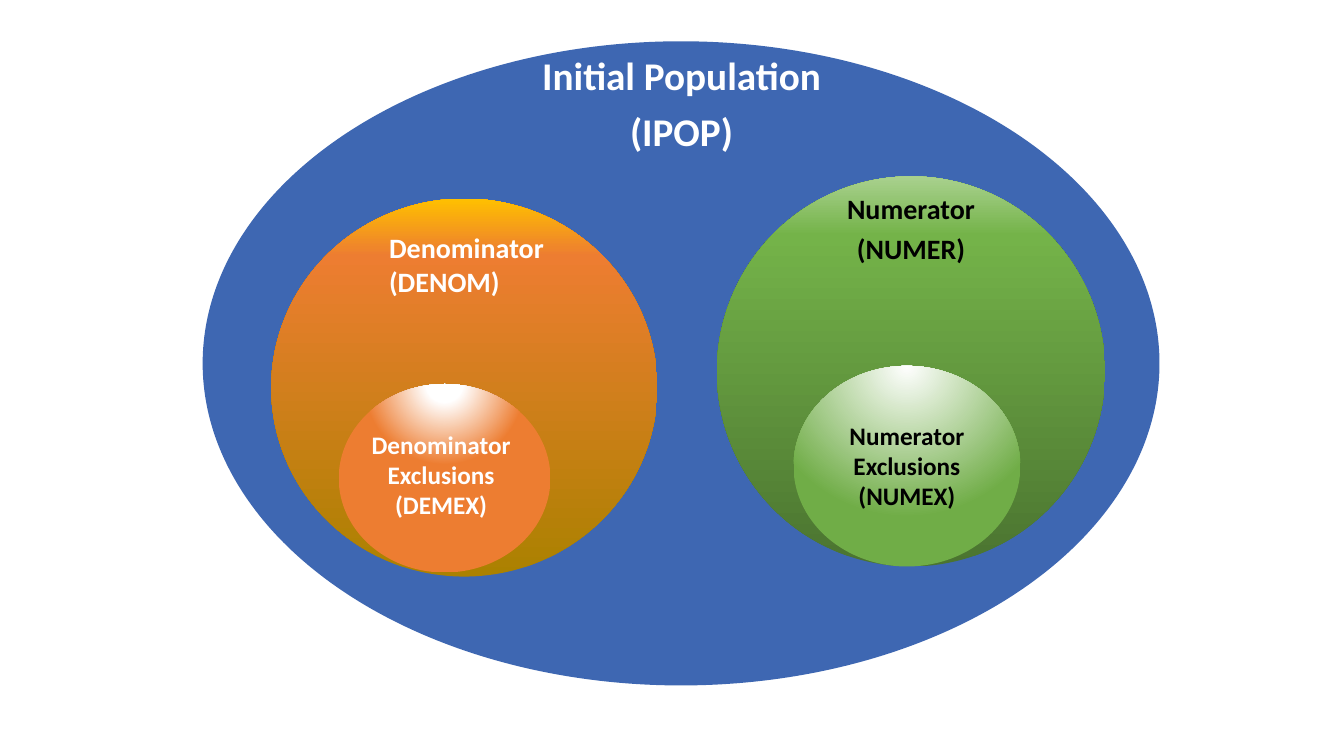
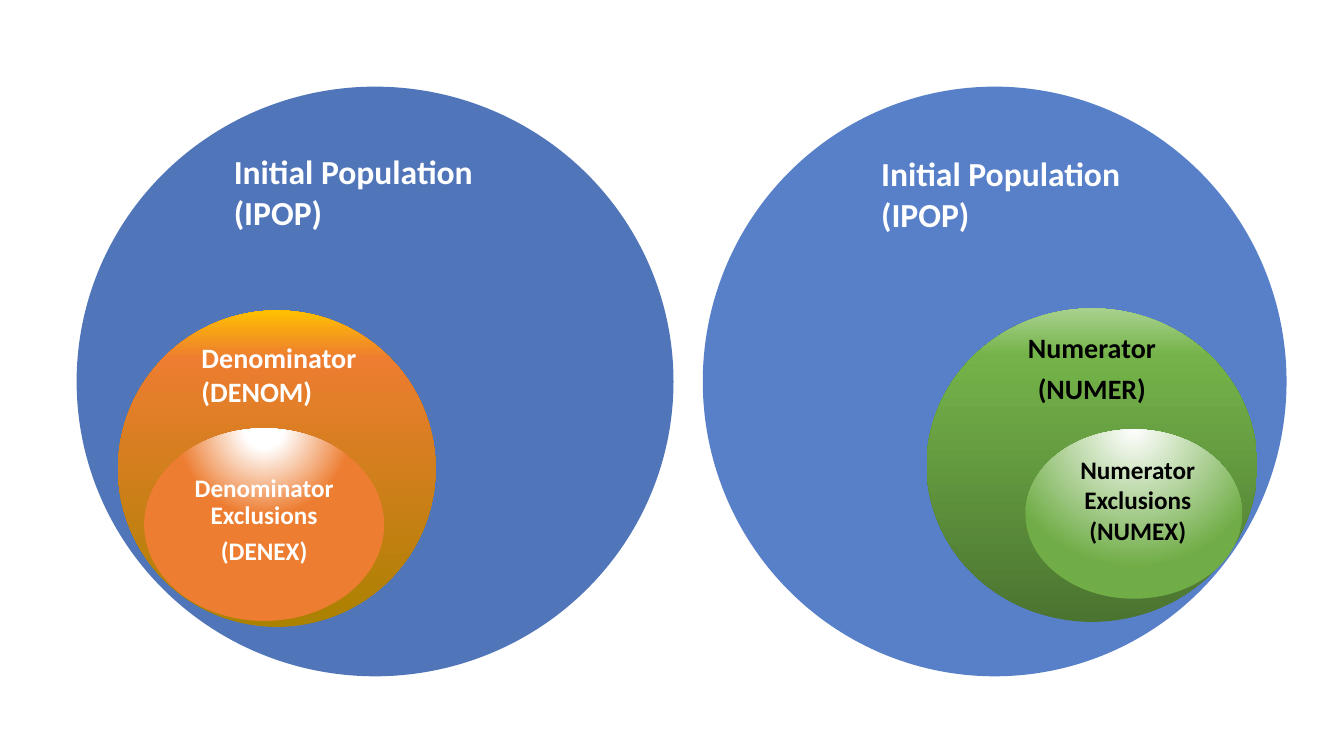
from lxml import etree
from pptx import Presentation
from pptx.dml.color import RGBColor
from pptx.enum.shapes import MSO_SHAPE
from pptx.enum.text import MSO_ANCHOR, PP_ALIGN
from pptx.oxml.ns import qn
from pptx.util import Inches, Pt

OVAL = MSO_SHAPE.OVAL
TOP, MIDDLE = MSO_ANCHOR.TOP, MSO_ANCHOR.MIDDLE
LEFT, CENTER = PP_ALIGN.LEFT, PP_ALIGN.CENTER

# Colours
FONT = "Calibri"
WHITE = RGBColor(0xFF, 0xFF, 0xFF)
BLACK = RGBColor(0x00, 0x00, 0x00)
BLUE = RGBColor(0x3E, 0x67, 0xB2)
LIGHT_BLUE = RGBColor(0x46, 0x73, 0xC4)
ORANGE = RGBColor(0xED, 0x7D, 0x31)
AMBER = RGBColor(0xEF, 0x86, 0x2A)
GOLD = RGBColor(0xFF, 0xC0, 0x00)
DARK_GOLD = RGBColor(0xAB, 0x81, 0x00)
GREEN = RGBColor(0x70, 0xAD, 0x47)
BRIGHT_GREEN = RGBColor(0x74, 0xB3, 0x49)
PALE_GREEN = RGBColor(0xA9, 0xD1, 0x8E)
DARK_GREEN = RGBColor(0x4B, 0x74, 0x30)

# Fills: a gradient lists (percent, colour) stops
IPOP = {"stops": [(0, BLUE)]}
IPOP_LEFT = {"stops": [(0, BLUE)], "alpha": 90}
IPOP_RIGHT = {"stops": [(0, LIGHT_BLUE)], "alpha": 90}
DENOM = {"stops": [(0, DARK_GOLD), (85, ORANGE), (87, AMBER), (100, GOLD)]}
NUMER = {"stops": [(0, DARK_GREEN), (85, BRIGHT_GREEN), (100, PALE_GREEN)]}
DENEX = {"stops": [(0, WHITE), (13, WHITE), (57, ORANGE)], "radial": True}
NUMEX = {"stops": [(0, WHITE), (100, GREEN)], "radial": True}

# Label styles: a spaced label has tighter lines and a gap after each paragraph
HEADING = {"size": 28, "align": CENTER, "spaced": True, "inset": 0.22}
POPULATION = {"size": 24}
DENOM_LABEL = {"size": 20}
NUMER_LABEL = {"size": 20, "color": BLACK, "align": CENTER, "spaced": True}
DENEX_LABEL = {"size": 18, "align": CENTER}
NUMEX_LABEL = {"size": 18, "color": BLACK, "align": CENTER}

IPOP_TEXT = ["Initial Population", "(IPOP)"]
DENOM_TEXT = ["Denominator", "(DENOM)"]
NUMER_TEXT = ["Numerator", "(NUMER)"]

# Each slide: ovals from back to front, then labels; boxes in inches
SLIDES = [
    {
        "ovals": [
            ((2.01, 0.41, 9.49, 6.39), IPOP),
            ((2.69, 1.97, 3.83, 3.75), DENOM),
            ((7.11, 1.75, 3.85, 3.87), NUMER),
            ((7.87, 3.63, 2.25, 1.99), NUMEX),
            ((3.36, 3.81, 2.1, 1.87), DENEX),
        ],
        "labels": [
            ((4.98, 0.73, 3.56, 0.64), IPOP_TEXT, HEADING),
            ((8.04, 2.02, 1.99, 0.53), NUMER_TEXT, {**NUMER_LABEL, "inset": 0.16}),
            ((3.76, 2.24, 1.75, 0.77), DENOM_TEXT, DENOM_LABEL),
            ((8.15, 4.12, 1.69, 1.01),
             ["Numerator", "Exclusions", "(NUMEX)"], NUMEX_LABEL),
            ((3.58, 4.21, 1.59, 1.01),
             ["Denominator Exclusions", "(DEMEX)"], DENEX_LABEL),
        ],
    },
    {
        "ovals": [
            ((0.76, 0.86, 5.92, 5.85), IPOP_LEFT),
            ((6.97, 0.86, 5.79, 5.85), IPOP_RIGHT),
            ((1.17, 3.08, 3.15, 3.14), DENOM),
            ((1.43, 4.25, 2.38, 1.91), DENEX),
            ((9.19, 3.06, 3.28, 3.11), NUMER),
            ((10.17, 4.26, 2.15, 1.68), NUMEX),
        ],
        "labels": [
            ((1.72, 4.69, 1.8, 0.96), ["Denominator Exclusions", "(DENEX)"],
             {**DENEX_LABEL, "spaced": True, "inset": 0.12}),
            ((2.22, 1.45, 2.68, 0.91), IPOP_TEXT, POPULATION),
            ((8.64, 1.47, 2.78, 0.91), IPOP_TEXT, POPULATION),
            ((9.98, 3.28, 1.7, 0.78), NUMER_TEXT, {**NUMER_LABEL, "inset": 0.14}),
            ((10.6, 4.46, 1.37, 1.01),
             ["Numerator Exclusions", "(NUMEX)"], NUMEX_LABEL),
            ((1.9, 3.33, 1.78, 0.77), DENOM_TEXT, DENOM_LABEL),
        ],
    },
]


def add_child(parent, tag, **attributes):
    return etree.SubElement(parent, qn(tag), {k: str(v) for k, v in attributes.items()})


def set_gradient(shape, stops, radial):
    """Fill upwards from the bottom edge, or radially from above the shape."""
    geometry = shape.element.spPr.find(qn("a:prstGeom"))
    gradient = etree.Element(qn("a:gradFill"), rotWithShape="1")
    stop_list = add_child(gradient, "a:gsLst")
    for percent, color in stops:
        stop = add_child(stop_list, "a:gs", pos=percent * 1000)
        add_child(stop, "a:srgbClr", val=color)
    if radial:
        circle = add_child(gradient, "a:path", path="circle")
        add_child(circle, "a:fillToRect", l=50000, t=-80000, r=50000, b=180000)
    else:
        add_child(gradient, "a:lin", ang=270 * 60000, scaled=0)
    geometry.addnext(gradient)


def add_oval(slide, box, stops, radial=False, alpha=100):
    shape = slide.shapes.add_shape(OVAL, *map(Inches, box))
    shape.shadow.inherit = False
    shape.line.fill.background()
    if len(stops) > 1:
        set_gradient(shape, stops, radial)
        return
    shape.fill.solid()
    shape.fill.fore_color.rgb = stops[0][1]
    if alpha < 100:
        color = shape.element.spPr.find(qn("a:solidFill"))[0]
        add_child(color, "a:alpha", val=alpha * 1000)


def add_label(slide, box, lines, size, color=WHITE, align=LEFT, spaced=False, inset=None):
    frame = slide.shapes.add_textbox(*map(Inches, box)).text_frame
    frame.word_wrap = True
    frame.vertical_anchor = MIDDLE if spaced else TOP
    if inset is not None:
        frame.margin_left = frame.margin_right = Inches(inset)
        frame.margin_top = frame.margin_bottom = Inches(inset)
    for number, line in enumerate(lines):
        para = frame.add_paragraph() if number else frame.paragraphs[0]
        para.alignment = align
        if spaced:
            para.line_spacing = 0.9
            para.space_after = Pt(0.35 * size)
        span = para.add_run()
        span.text = line
        span.font.name = FONT
        span.font.size = Pt(size)
        span.font.bold = True
        span.font.color.rgb = color


def main():
    deck = Presentation()
    deck.slide_width, deck.slide_height = Inches(13.33), Inches(7.5)
    blank = deck.slide_layouts[6]
    for content in SLIDES:
        slide = deck.slides.add_slide(blank)
        for box, fill in content["ovals"]:
            add_oval(slide, box, **fill)
        for box, lines, style in content["labels"]:
            add_label(slide, box, lines, **style)
    deck.save("out.pptx")


if __name__ == "__main__":
    main()
